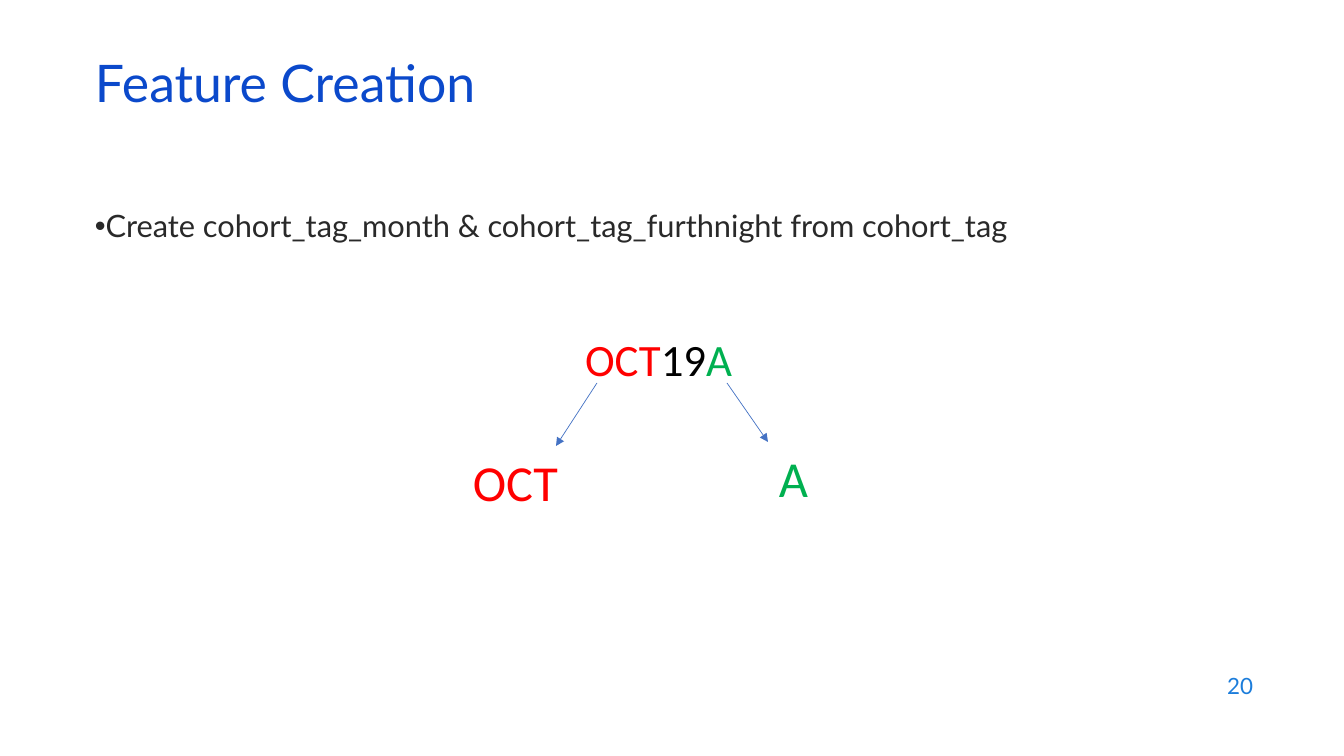
from pptx import Presentation
from pptx.dml.color import RGBColor
from pptx.enum.shapes import MSO_CONNECTOR
from pptx.enum.text import MSO_ANCHOR, PP_ALIGN
from pptx.oxml.ns import qn
from pptx.util import Pt
from lxml import etree

STRAIGHT = MSO_CONNECTOR.STRAIGHT
TOP, MIDDLE = MSO_ANCHOR.TOP, MSO_ANCHOR.MIDDLE
LEFT, RIGHT = PP_ALIGN.LEFT, PP_ALIGN.RIGHT
EMU_PER_PX = 914400 / 100.8
COLORS = {
    "title": "0B49CB",
    "body": "292929",
    "number": "1C7DDB",
    "month": "FF0000",
    "year": "000000",
    "fortnight": "00B050",
    "arrow": "4472C4",
}


def px(n):
    return round(n * EMU_PER_PX)


class SlideBuilder:
    """Draws styled elements on one slide, with lengths in px."""

    def __init__(self, slide):
        self.shapes = slide.shapes

    def add_runs(self, p, parts, size, font):
        for text, color in parts:
            r = p.add_run()
            r.text = text
            r.font.size = Pt(size)
            r.font.name = font
            r.font.color.rgb = RGBColor.from_string(COLORS[color])

    def text(self, box, text, color, size, font="Lato", anchor=TOP, align=LEFT, wrap=True):
        tf = self.shapes.add_textbox(*map(px, box)).text_frame
        tf.word_wrap = wrap
        tf.vertical_anchor = anchor
        p = tf.paragraphs[0]
        p.alignment = align
        self.add_runs(p, [(text, color)], size, font)
        return p

    def bullet(self, box, text, color, size):
        p = self.text(box, text, color, size)
        p.space_before = Pt(14)
        pPr = p._p.get_or_add_pPr()
        etree.SubElement(pPr, qn("a:buFont"), typeface="Arial")
        etree.SubElement(pPr, qn("a:buChar"), char="•")

    def table(self, box, cells, size, font):
        table = self.shapes.add_table(1, len(cells), *map(px, box)).table
        table.first_row = table.horz_banding = False
        for cell, parts in zip(table.rows[0].cells, cells):
            cell.fill.background()
            cell.vertical_anchor = MIDDLE
            self.add_runs(cell.text_frame.paragraphs[0], parts, size, font)

    def arrow(self, start, end):
        line = self.shapes.add_connector(STRAIGHT, *map(px, start + end))
        line.line.width = Pt(0.5)
        line.line.color.rgb = RGBColor.from_string(COLORS["arrow"])
        etree.SubElement(line.line._get_or_add_ln(), qn("a:tailEnd"), type="triangle")
        etree.SubElement(line._element.spPr, qn("a:effectLst"))


def main():
    prs = Presentation()
    prs.slide_width, prs.slide_height = px(1344), px(756)
    s = SlideBuilder(prs.slides.add_slide(prs.slide_layouts[6]))

    title = s.text((85, 59, 1159, 60), "Feature Creation", "title", 37, anchor=MIDDLE)
    title.line_spacing = 0.7
    s.bullet((85, 202, 1075, 480),
             "Create cohort_tag_month & cohort_tag_furthnight from cohort_tag", "body", 22)

    tag = [("OCT", "month"), ("19", "year"), ("A", "fortnight")]
    s.table((575, 329, 386, 64), [tag, []], 32, "Calibri")
    s.text((463, 446, 112, 72), "OCT", "month", 36, "Calibri", wrap=False)
    s.text((769, 442, 86, 72), "A", "fortnight", 36, "Calibri", wrap=False)
    s.arrow((597, 383), (556, 446))
    s.arrow((727, 383), (768, 442))

    s.text((961, 664, 302, 44), "20", "number", 16, anchor=MIDDLE, align=RIGHT)
    prs.save("out.pptx")


if __name__ == "__main__":
    main()
